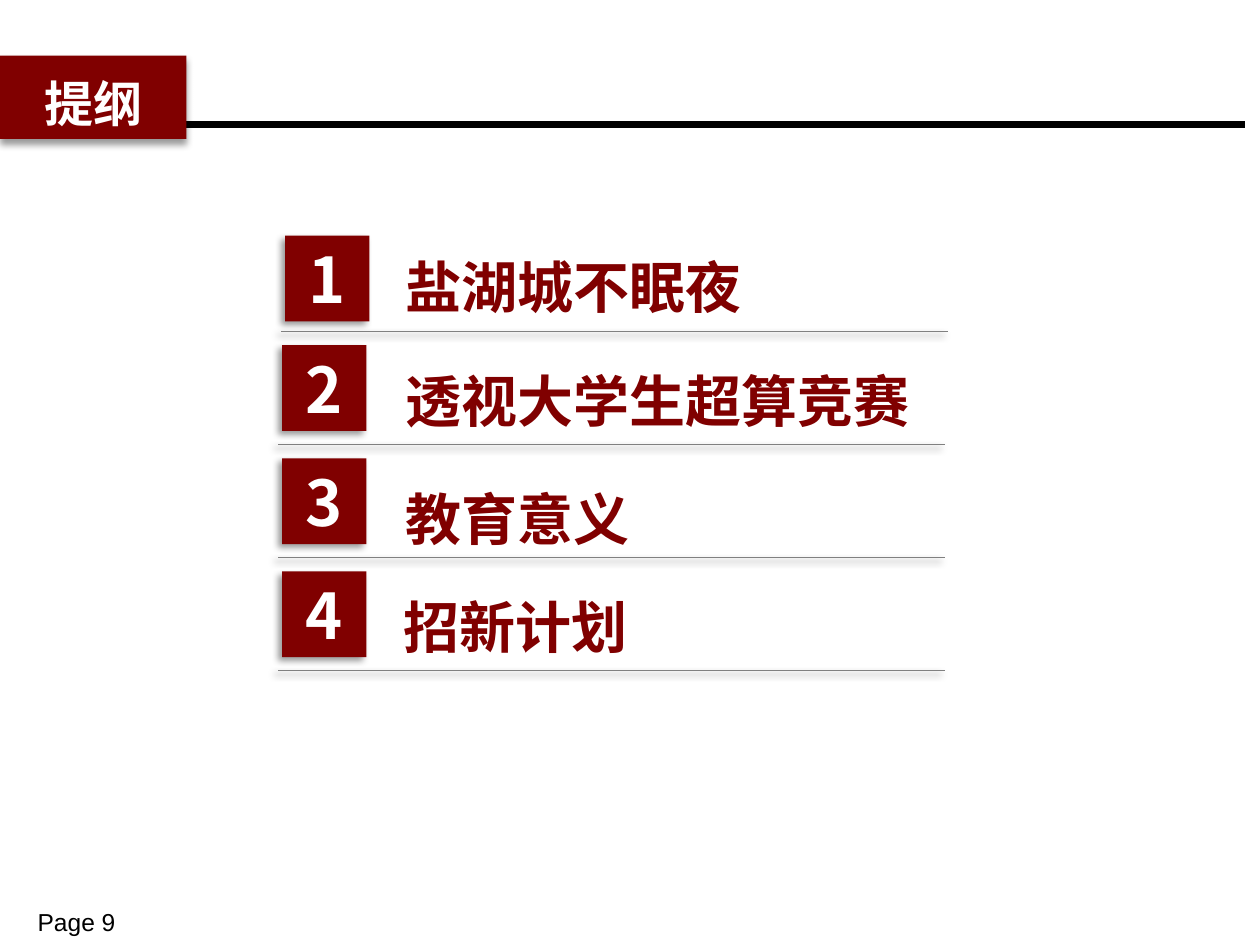
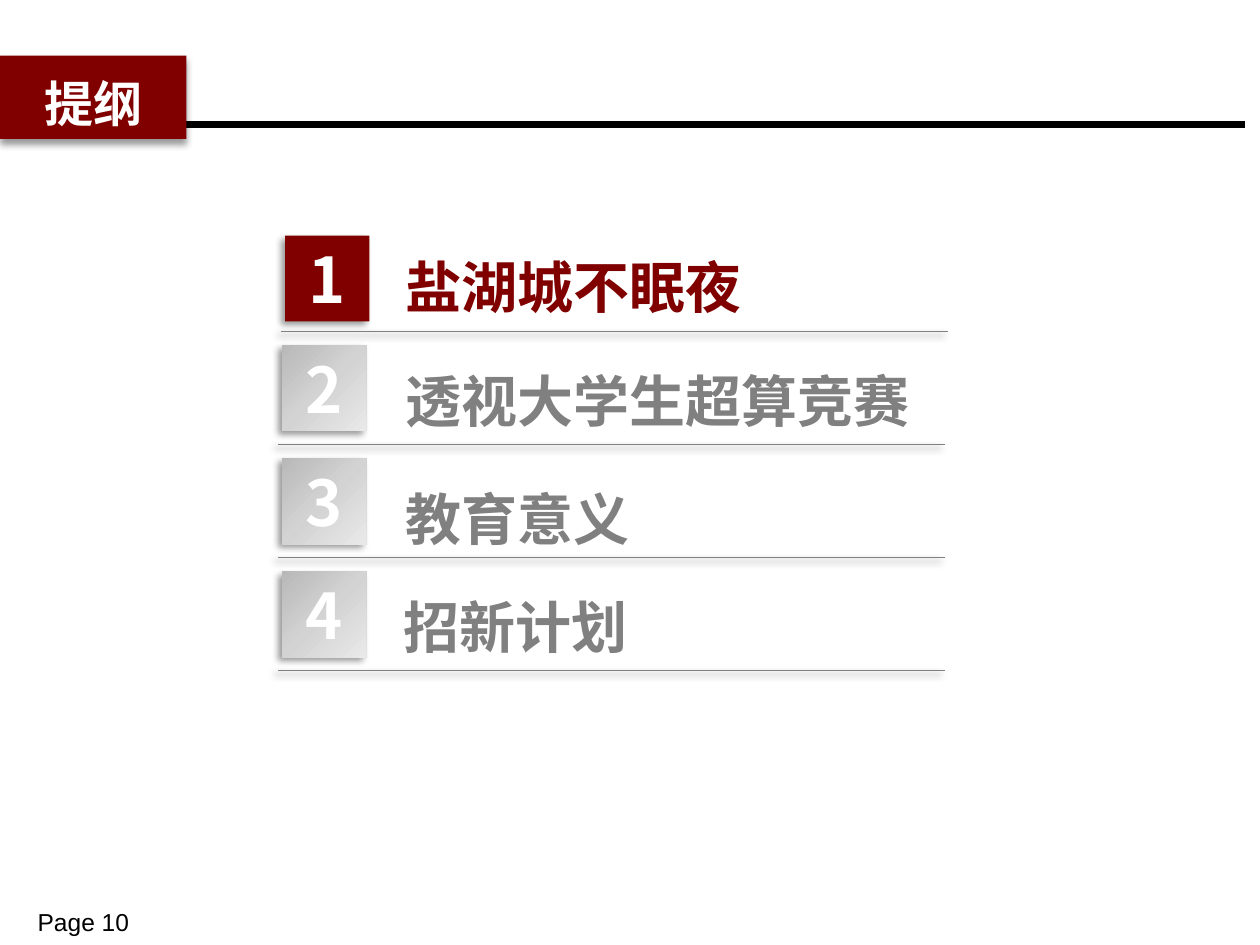
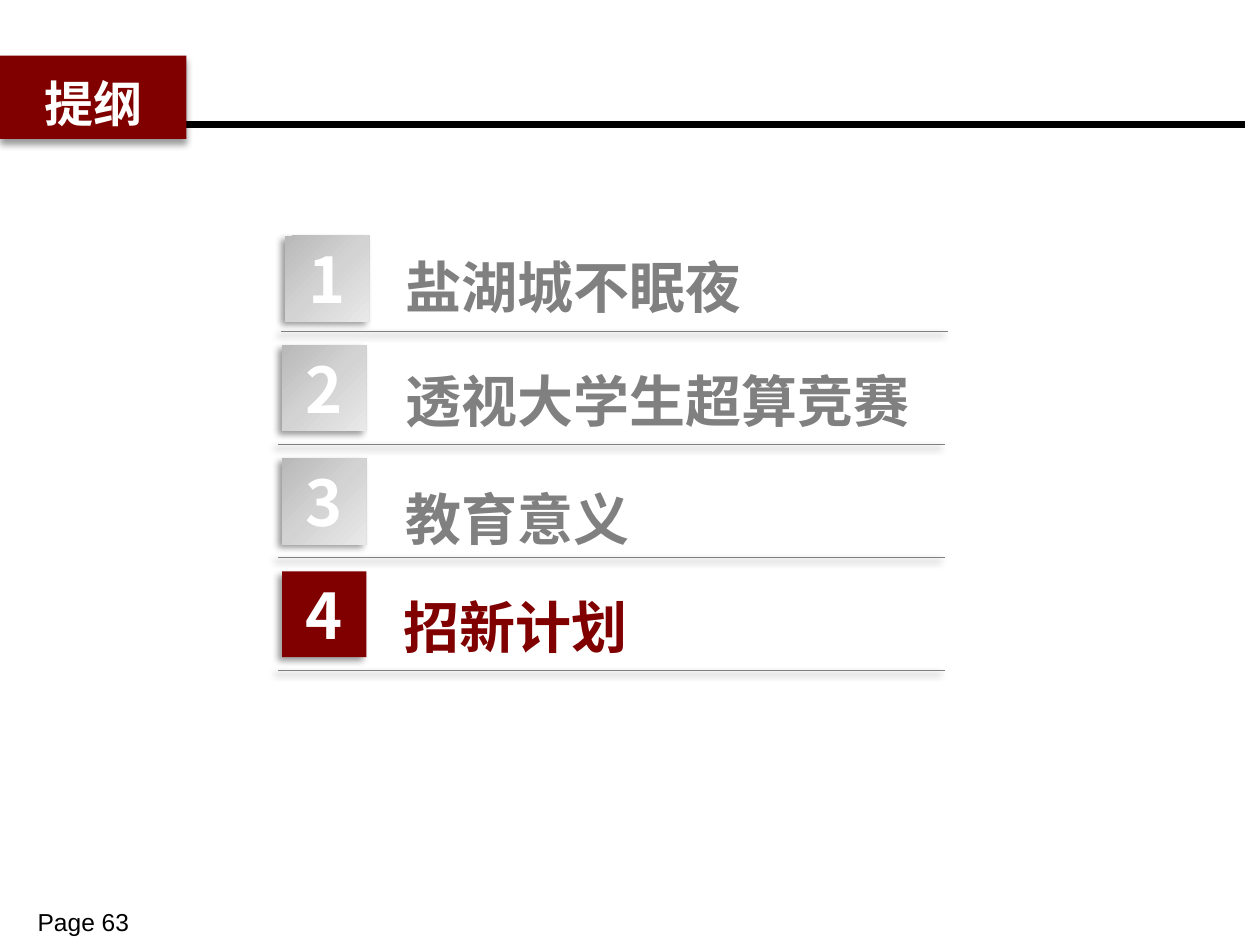
from collections import namedtuple

from lxml import etree
from pptx import Presentation
from pptx import util as u
from pptx.dml.color import RGBColor
from pptx.enum import shapes, text
from pptx.oxml.ns import qn

COLORS = {
    "maroon": "800000",
    "gray": "808080",
    "black": "000000",
    "white": "FFFFFF",
}
FADE = [(0, "B8B8B8"), (50, "D3D3D3"), (100, "E9E9E9")]
CJK, LATIN = "Noto Sans CJK SC", "Arial"

FIRST_RULE, ROW_PITCH = 6.68, 2.28
RULE_LEFT, RULE_WIDTH = 5.61, 13.44
BADGE_LEFT, BADGE_WIDTH, BADGE_HEIGHT, BADGE_RISE = 5.69, 1.7, 1.73, 2.0
TOPIC_WIDTH, TOPIC_HEIGHT, TOPIC_RISE = 12.8, 2.34, 2.41

Topic = namedtuple("Topic", "title left drop shift badge_drop", defaults=(7.9, 0, 0, 0))
TOPICS = [
    Topic("盐湖城不眠夜", shift=0.06, badge_drop=0.07),
    Topic("透视大学生超算竞赛"),
    Topic("教育意义", drop=0.1),
    Topic("招新计划", left=7.85),
]
OUTLINES = [(9, {1, 2, 3, 4}), (10, {1}), (63, {4})]


class Deck:
    def __init__(self):
        self.prs = Presentation()
        self.prs.slide_width = u.Cm(25.4)
        self.prs.slide_height = u.Cm(19.05)
        self.slide = None

    def color(self, name):
        return RGBColor.from_string(COLORS[name])

    def new_slide(self, heading, page):
        self.slide = self.prs.slides.add_slide(self.prs.slide_layouts[6])
        self.rule(0.3, 2.51, 24.8, "black", 3.75)
        self.label(0.51, 18.16, 6.35, 0.69, f"Page {page}", 14, "black", font=LATIN)
        tab = self.block(0, 1.12, 3.76, 1.68, "maroon", 90)
        self.add_words(tab.text_frame, heading, 28, "white", spacing=1.2, center=True)

    def effects(self, element, direction=None):
        props = element.spPr
        effect_list = props.find(qn("a:effectLst"))
        if effect_list is None:
            effect_list = etree.SubElement(props, qn("a:effectLst"))
        if direction is None:
            return
        shadow = etree.SubElement(
            effect_list, qn("a:outerShdw"), blurRad=str(u.Pt(4)), dist=str(u.Pt(3)),
            dir=str(direction * 60000), algn="ctr", rotWithShape="0")
        tint = etree.SubElement(shadow, qn("a:srgbClr"), val=COLORS["black"])
        etree.SubElement(tint, qn("a:alpha"), val="40000")

    def fade(self, shape):
        shape.fill.gradient()
        shape.fill.gradient_angle = 315
        stops = shape._element.spPr.find(qn("a:gradFill")).find(qn("a:gsLst"))
        for stop in list(stops):
            stops.remove(stop)
        for position, tone in FADE:
            stop = etree.SubElement(stops, qn("a:gs"), pos=str(position * 1000))
            etree.SubElement(stop, qn("a:srgbClr"), val=tone)

    def rule(self, left, top, width, color, weight, shadow=None):
        line = self.slide.shapes.add_connector(
            shapes.MSO_CONNECTOR.STRAIGHT,
            u.Cm(left), u.Cm(top), u.Cm(left + width), u.Cm(top))
        line.line.color.rgb = self.color(color)
        line.line.width = u.Pt(weight)
        self.effects(line._element, shadow)

    def block(self, left, top, width, height, color, shadow):
        shape = self.slide.shapes.add_shape(
            shapes.MSO_SHAPE.RECTANGLE, u.Cm(left), u.Cm(top), u.Cm(width), u.Cm(height))
        if color:
            shape.fill.solid()
            shape.fill.fore_color.rgb = self.color(color)
        else:
            self.fade(shape)
        shape.line.fill.background()
        shape.shadow.inherit = False
        self.effects(shape._element, shadow)
        frame = shape.text_frame
        frame.word_wrap = False
        frame.vertical_anchor = text.MSO_ANCHOR.MIDDLE
        return shape

    def badge(self, left, top, number, color):
        frame = self.block(left, top, BADGE_WIDTH, BADGE_HEIGHT, color, 135).text_frame
        frame.margin_left = frame.margin_right = 0
        frame.margin_top = frame.margin_bottom = 0
        self.add_words(frame, str(number), 36, "white", center=True)

    def label(self, left, top, width, height, words, size, color, font=CJK, spacing=None):
        box = self.slide.shapes.add_textbox(
            u.Cm(left), u.Cm(top), u.Cm(width), u.Cm(height))
        box.text_frame.word_wrap = True
        self.add_words(box.text_frame, words, size, color, font, spacing)
        return box.text_frame

    def add_words(self, frame, words, size, color, font=CJK, spacing=None, center=False):
        paragraph = frame.paragraphs[0]
        paragraph.alignment = text.PP_ALIGN.CENTER if center else text.PP_ALIGN.LEFT
        if spacing:
            paragraph.line_spacing = spacing
        run = paragraph.add_run()
        run.text = words
        run.font.size = u.Pt(size)
        run.font.bold = font == CJK
        run.font.color.rgb = self.color(color)
        run.font.name = font
        etree.SubElement(run._r.get_or_add_rPr(), qn("a:ea"), typeface=font)

    def topic(self, number, topic, active):
        base = FIRST_RULE + (number - 1) * ROW_PITCH
        self.rule(RULE_LEFT + topic.shift, base, RULE_WIDTH, "gray", 0.75, 135)
        self.badge(BADGE_LEFT + topic.shift, base - BADGE_RISE + topic.badge_drop,
                   number, "maroon" if active else None)
        frame = self.label(topic.left, base - TOPIC_RISE + topic.drop,
                           TOPIC_WIDTH, TOPIC_HEIGHT, topic.title, 32,
                           "maroon" if active else "gray", spacing=1.5)
        frame.margin_left = frame.margin_right = u.Cm(0.28)
        frame.margin_top = frame.margin_bottom = u.Cm(0.15)
        frame.vertical_anchor = text.MSO_ANCHOR.MIDDLE
        frame.auto_size = text.MSO_AUTO_SIZE.SHAPE_TO_FIT_TEXT


def main():
    deck = Deck()
    for page, active in OUTLINES:
        deck.new_slide("提纲", page)
        for number, topic in enumerate(TOPICS, 1):
            deck.topic(number, topic, number in active)
    deck.prs.save("out.pptx")


if __name__ == "__main__":
    main()
